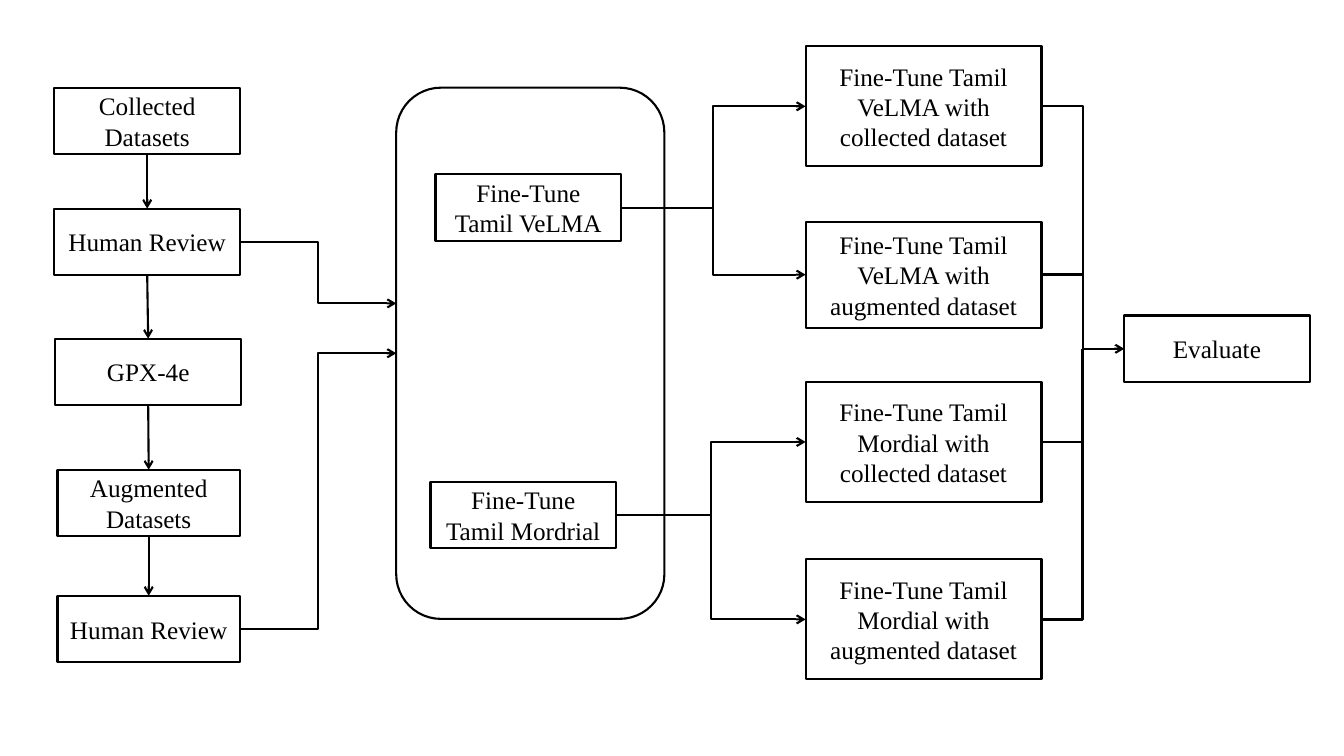
from dataclasses import dataclass
from itertools import pairwise

from lxml import etree
from pptx import Presentation
from pptx.dml.color import RGBColor
from pptx.enum import shapes, text
from pptx.oxml import ns
from pptx.util import Inches, Pt

TOP, LEFT, BOTTOM, RIGHT = range(4)


@dataclass(frozen=True)
class Theme:
    ink: RGBColor = RGBColor(0, 0, 0)
    paper: RGBColor = RGBColor(255, 255, 255)
    font: str = "Times New Roman"
    size: float = 18
    line: float = 1.5
    merge_line: float = 2


THEME = Theme()
STEP_WIDTH, STEP_HEIGHT = 1.84, 0.66
VARIANT_LEFT, VARIANT_WIDTH = 7.99, 2.34
MERGE_X = 10.74


def add_frame(slide, kind, left, top, width, height):
    frame = slide.shapes.add_shape(
        kind, Inches(left), Inches(top), Inches(width), Inches(height))
    frame.shadow.inherit = False
    frame.fill.solid()
    frame.fill.fore_color.rgb = THEME.paper
    frame.line.color.rgb = THEME.ink
    frame.line.width = Pt(THEME.line)
    return frame


def add_box(slide, label, left, top, width=STEP_WIDTH, height=STEP_HEIGHT):
    box = add_frame(slide, shapes.MSO_SHAPE.RECTANGLE, left, top, width, height)
    box.text_frame.text = label
    box.text_frame.word_wrap = True
    box.text_frame.vertical_anchor = text.MSO_ANCHOR.MIDDLE
    paragraph = box.text_frame.paragraphs[0]
    paragraph.alignment = text.PP_ALIGN.CENTER
    font = paragraph.runs[0].font
    font.name = THEME.font
    font.size = Pt(THEME.size)
    font.color.rgb = THEME.ink
    return box


def add_link(slide, kind, start, end, width=THEME.line, arrow=True):
    """Link two ends, each either a (shape, side) pair or an (x, y) point in inches."""
    link = slide.shapes.add_connector(kind, 0, 0, 0, 0)
    if isinstance(start[0], (int, float)):
        link.begin_x, link.begin_y = map(Inches, start)
    else:
        link.begin_connect(*start)
    if isinstance(end[0], (int, float)):
        link.end_x, link.end_y = map(Inches, end)
    else:
        link.end_connect(*end)
    link.line.color.rgb = THEME.ink
    link.line.width = Pt(width)
    properties = link.element.spPr
    if arrow:
        outline = properties.find(ns.qn("a:ln"))
        etree.SubElement(outline, ns.qn("a:tailEnd"), type="arrow")
    etree.SubElement(properties, ns.qn("a:effectLst"))
    return link


def add_corner(slide, start, end):
    """Merge line with a single bend: across, then up."""
    corner = add_link(slide, shapes.MSO_CONNECTOR.ELBOW, start, end,
                      THEME.merge_line, arrow=False)
    corner.element.spPr.find(ns.qn("a:prstGeom")).set("prst", "bentConnector2")


def main():
    prs = Presentation()
    prs.slide_width, prs.slide_height = Inches(13.33), Inches(7.5)
    slide = prs.slides.add_slide(prs.slide_layouts[6])
    straight, elbow = shapes.MSO_CONNECTOR.STRAIGHT, shapes.MSO_CONNECTOR.ELBOW

    training = add_frame(
        slide, shapes.MSO_SHAPE.ROUNDED_RECTANGLE, 3.93, 0.87, 2.66, 5.27)

    data_steps = [add_box(slide, *step) for step in (
        ("Collected Datasets", 0.54, 0.87),
        ("Human Review", 0.54, 2.07),
        ("GPX-4e", 0.55, 3.36),
        ("Augmented Datasets", 0.57, 4.66, 1.81),
        ("Human Review", 0.57, 5.91, 1.81),
    )]
    for upper, lower in pairwise(data_steps):
        add_link(slide, straight, (upper, BOTTOM), (lower, TOP))
    add_link(slide, elbow, (data_steps[1], RIGHT), (3.93, 3.01))
    add_link(slide, elbow, (data_steps[-1], RIGHT), (training, LEFT))

    models = (
        ("Fine-Tune Tamil VeLMA", 4.32, 1.73, (
            ("Fine-Tune Tamil VeLMA with collected dataset", 0.46, 1.19),
            ("Fine-Tune Tamil VeLMA with augmented dataset", 2.2, 1.05))),
        ("Fine-Tune Tamil Mordrial", 4.27, 4.78, (
            ("Fine-Tune Tamil Mordial with collected dataset", 3.79, 1.19),
            ("Fine-Tune Tamil Mordial with augmented dataset", 5.55, 1.19))),
    )
    variants = []
    for label, left, top, outcomes in models:
        model = add_box(slide, label, left, top)
        for outcome, outcome_top, height in outcomes:
            variant = add_box(slide, outcome, VARIANT_LEFT, outcome_top,
                              VARIANT_WIDTH, height)
            add_link(slide, elbow, (model, RIGHT), (variant, LEFT))
            variants.append(variant)

    evaluate = add_box(slide, "Evaluate", 11.15, 3.13)
    first, second, third, fourth = variants
    add_link(slide, elbow, (first, RIGHT), (evaluate, LEFT))
    add_link(slide, straight, (second, RIGHT), (MERGE_X, 2.725),
             THEME.merge_line, arrow=False)
    add_corner(slide, (third, RIGHT), (MERGE_X, 3.46))
    add_corner(slide, (fourth, RIGHT), (MERGE_X, 4.34))

    prs.save("out.pptx")


if __name__ == "__main__":
    main()
